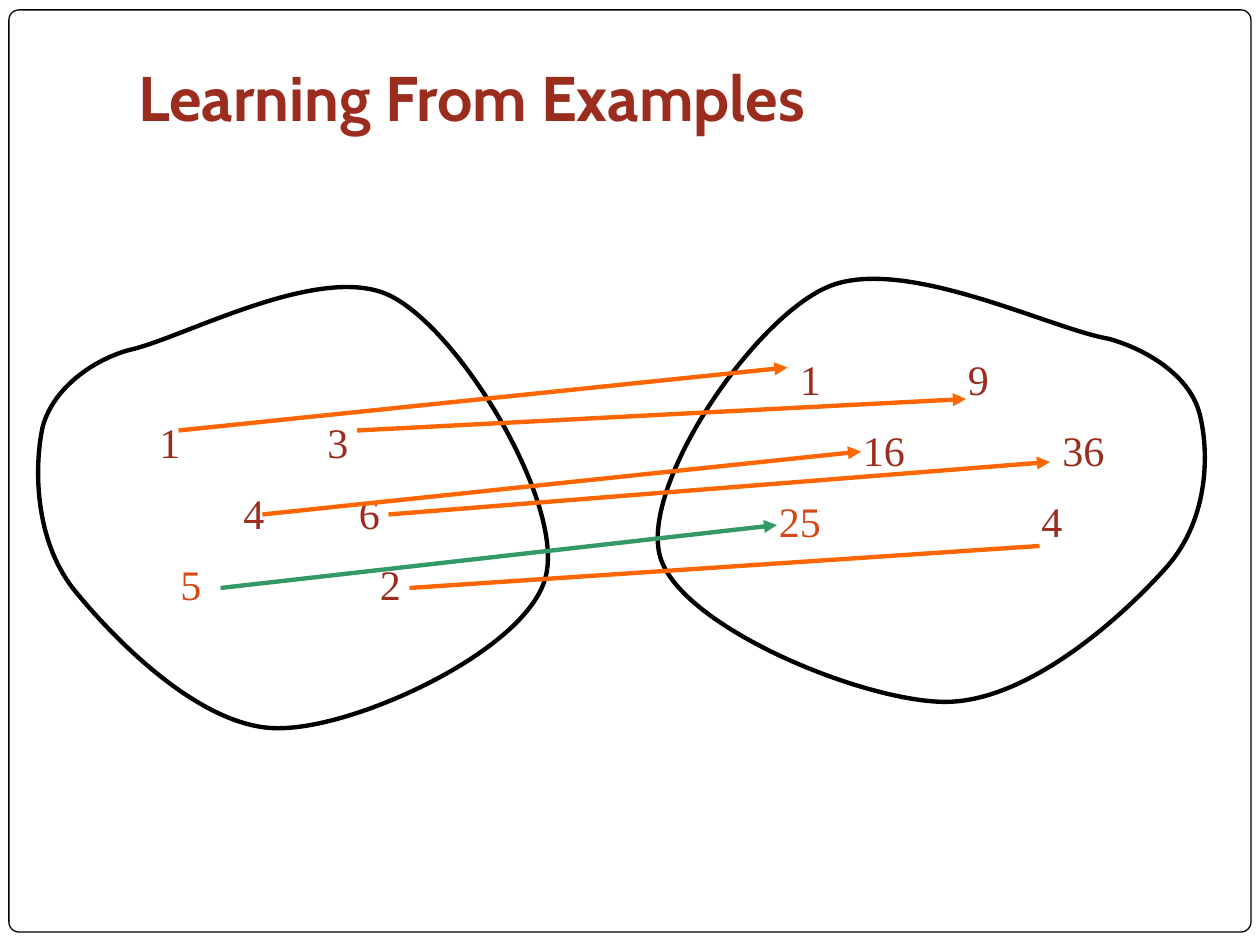
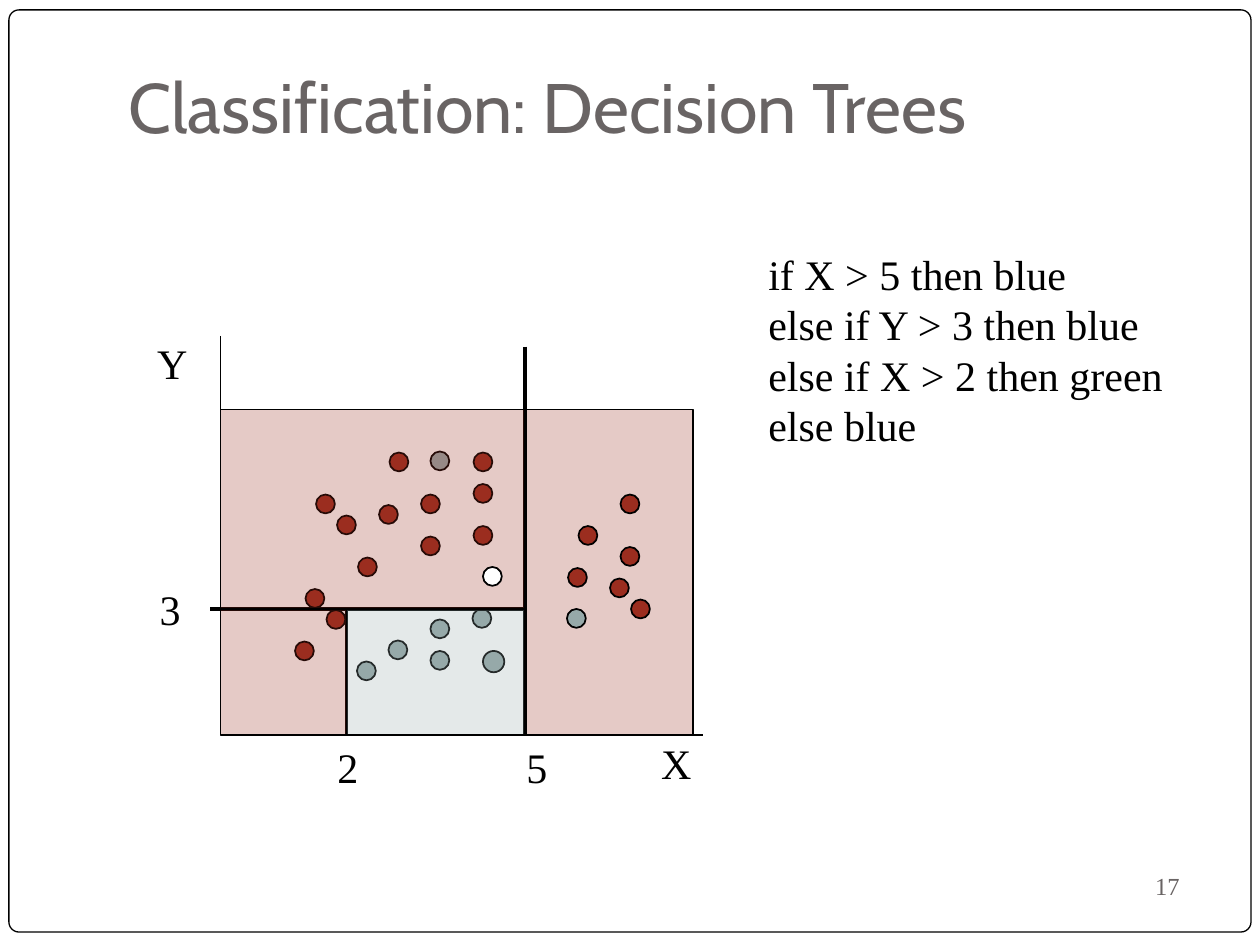
from dataclasses import dataclass
from typing import NamedTuple

from lxml import etree
from pptx import Presentation
from pptx import util as u
from pptx.dml.color import RGBColor
from pptx.enum import shapes, text
from pptx.oxml.ns import qn

COLOURS = {
    "black": "000000", "white": "FFFFFF", "red": "9B2D1F", "orange": "D34817",
    "grey": "696464", "sage": "96A9A9", "arrow": "FF6600", "new arrow": "339966",
}
GRID = 2.54 / 12  # centimetres per step of the drawing grid
DOT = 0.38  # dot diameter in centimetres


class Box(NamedTuple):
    """Left, top, width and height in centimetres."""
    left: float
    top: float
    width: float
    height: float

    def lengths(self) -> list:
        return [u.Cm(value) for value in self]


@dataclass(frozen=True)
class Style:
    size: int
    colour: str = "black"
    font: str = "Times New Roman"
    bold: bool = False


@dataclass(frozen=True)
class Line:
    """A straight line between two grid points."""
    start: tuple[int, int]
    end: tuple[int, int]
    colour: str = "black"
    weight: float = 2
    arrow: bool = False


@dataclass(frozen=True)
class Entry:
    """A number placed a count of grid steps into its row."""
    column: int
    number: str
    colour: str = "red"


BODY = Style(24)
MAPPINGS = [
    Line((39, 56), (99, 52), "arrow", 2.5),
    Line((34, 41), (92, 38), "arrow", 2.5, True),
    Line((17, 41), (75, 35), "arrow", 2.5, True),
    Line((37, 49), (100, 44), "arrow", 2.5, True),
    Line((25, 49), (82, 43), "arrow", 2.5, True),
    Line((21, 56), (74, 50), "new arrow", 2.5, True),
]
INPUTS = [
    [Entry(1, "1"), Entry(17, "3")],
    [Entry(9, "4"), Entry(20, "6")],
    [Entry(3, "5", "orange"), Entry(22, "2")],
]
OUTPUTS = [
    [Entry(2, "1"), Entry(18, "9")],
    [Entry(8, "16"), Entry(27, "36")],
    [Entry(0, "25", "orange"), Entry(25, "4")],
]
# Start point, then two control points and an end point for each curve
INPUT_OUTLINE = [
    (2.59, 7.06),
    (1.88, 7.26), (1.07, 7.82), (0.86, 8.61),
    (0.69, 9.4), (0.69, 10.85), (1.47, 11.86),
    (2.29, 12.88), (4.09, 14.73), (5.66, 14.68),
    (7.26, 14.66), (10.64, 13.08), (11, 11.63),
    (11.38, 10.19), (9.35, 6.76), (7.92, 5.99),
    (6.53, 5.23), (3.68, 6.83), (2.59, 7.06),
]
OUTPUT_OUTLINE = [
    (22.35, 6.83),
    (23.11, 7.04), (23.98, 7.57), (24.18, 8.33),
    (24.38, 9.09), (24.38, 10.46), (23.52, 11.43),
    (22.66, 12.4), (20.73, 14.17), (19.02, 14.15),
    (17.32, 14.12), (13.72, 12.62), (13.31, 11.23),
    (12.9, 9.83), (15.09, 6.55), (16.61, 5.82),
    (18.11, 5.08), (21.16, 6.63), (22.35, 6.83),
]

AXES = [Line((21, 32), (21, 70), weight=1), Line((21, 70), (67, 70), weight=1)]
SPLITS = [Line((50, 33), (50, 70)), Line((50, 58), (20, 58)), Line((33, 58), (33, 70))]
RED_CENTRES = [
    (31, 48), (33, 50), (37, 49), (41, 48), (30, 57), (46, 44), (35, 54),
    (41, 52), (46, 51), (32, 59), (29, 62), (38, 44), (46, 47), (60, 48),
    (56, 51), (55, 55), (59, 56), (61, 58), (60, 53),
]
SAGE_CORNERS = [(34, 63), (37, 61), (41, 62), (41, 59), (45, 58), (41, 43), (54, 58)]
AXIS_LABELS = {
    "X": Box(13.08, 14.73, 1.12, 1.27), "Y": Box(2.92, 6.68, 1.12, 1.27),
    "5": Box(10.36, 14.81, 0.94, 1.27), "2": Box(6.55, 14.81, 0.94, 1.27),
    "3": Box(2.97, 11.63, 0.94, 1.27),
}
RULES = [
    "if X > 5 then blue", "else if Y > 3 then blue",
    "else if X > 2 then green", "else blue",
]


def rgb(name: str) -> RGBColor:
    return RGBColor.from_string(COLOURS[name])


def add_span(para, words: str, style: Style) -> None:
    span = para.add_run()
    span.text = words
    span.font.name = style.font
    span.font.size = u.Pt(style.size)
    span.font.bold = style.bold
    span.font.color.rgb = rgb(style.colour)


def add_frame(page, box: Box, anchor=text.MSO_ANCHOR.TOP, bottom: float = 0.13):
    frame = page.shapes.add_textbox(*box.lengths()).text_frame
    frame.word_wrap = True
    frame.vertical_anchor = anchor
    frame.margin_left = frame.margin_right = u.Cm(0.25)
    frame.margin_top, frame.margin_bottom = u.Cm(0.13), u.Cm(bottom)
    return frame


def next_paragraph(frame, index: int):
    return frame.add_paragraph() if index else frame.paragraphs[0]


def add_lines(page, box: Box, lines: list[str]) -> None:
    frame = add_frame(page, box)
    for index, words in enumerate(lines):
        add_span(next_paragraph(frame, index), words, BODY)


def add_title(page, words: str, box: Box, style: Style, bottom: float = 0.13) -> None:
    frame = add_frame(page, box, text.MSO_ANCHOR.BOTTOM, bottom)
    add_span(frame.paragraphs[0], words, style)


def add_numbers(page, box: Box, rows: list[list[Entry]]) -> None:
    """Place each row's numbers at tab stops on the drawing grid."""
    frame = add_frame(page, box)
    for index, row in enumerate(rows):
        para = next_paragraph(frame, index)
        stops = etree.SubElement(para._p.get_or_add_pPr(), qn("a:tabLst"))
        for entry in row:
            if entry.column:
                position = str(u.Cm(entry.column * GRID))
                etree.SubElement(stops, qn("a:tab"), pos=position, algn="l")
            lead = "\t" if entry.column else ""
            add_span(para, lead + entry.number, Style(24, entry.colour))
        if index:
            para.space_before = u.Pt(12)


def add_outlined(page, kind, box: Box, fill: str, weight: float, alpha: int = 100):
    shape = page.shapes.add_shape(kind, *box.lengths())
    shape.shadow.inherit = False
    shape.fill.solid()
    shape.fill.fore_color.rgb = rgb(fill)
    if alpha < 100:
        colour = shape._element.spPr.find(f"{qn('a:solidFill')}/{qn('a:srgbClr')}")
        etree.SubElement(colour, qn("a:alpha"), val=str(alpha * 1000))
    shape.line.color.rgb = rgb("black")
    shape.line.width = u.Pt(weight)
    return shape


def add_region(page, column: int, row: int, width: int, height: int, fill: str) -> None:
    box = Box(*(value * GRID for value in (column, row, width, height)))
    add_outlined(page, shapes.MSO_SHAPE.RECTANGLE, box, fill, 0.75, 25)


def add_dots(page, points, fill: str, size: float = DOT, shift: float = 0) -> None:
    for column, row in points:
        box = Box(column * GRID - shift, row * GRID - shift, size, size)
        add_outlined(page, shapes.MSO_SHAPE.OVAL, box, fill, 1)


def add_line(page, line: Line) -> None:
    ends = [u.Cm(value * GRID) for value in line.start + line.end]
    connector = page.shapes.add_connector(shapes.MSO_CONNECTOR.STRAIGHT, *ends)
    connector.line.color.rgb = rgb(line.colour)
    connector.line.width = u.Pt(line.weight)
    if line.arrow:
        etree.SubElement(connector.line._get_or_add_ln(), qn("a:tailEnd"), type="triangle")
    etree.SubElement(connector._element.spPr, qn("a:effectLst"))


def add_blob(page, outline: list[tuple[float, float]]) -> None:
    """Draw a closed outline, turning each three segments into one Bezier curve."""
    points = [(u.Cm(x), u.Cm(y)) for x, y in outline]
    builder = page.shapes.build_freeform(*points[0])
    builder.add_line_segments(points[1:], close=True)
    blob = builder.convert_to_shape()
    blob.shadow.inherit = False
    blob.fill.background()
    blob.line.color.rgb = rgb("black")
    blob.line.width = u.Pt(2.5)
    segments = list(blob._element.iter(qn("a:lnTo")))
    for first in range(0, len(segments), 3):
        curve = etree.Element(qn("a:cubicBezTo"))
        segments[first].addprevious(curve)
        for segment in segments[first:first + 3]:
            curve.append(segment[0])
            segment.getparent().remove(segment)


def add_page(deck):
    """Add a blank page with the shared rounded border."""
    page = deck.slides.add_slide(deck.slide_layouts[6])
    border = add_outlined(page, shapes.MSO_SHAPE.ROUNDED_RECTANGLE,
                          Box(0.18, 0.2, 25.04, 18.59), "white", 0.75)
    border.adjustments[0] = 0.011
    return page


def build_examples(deck) -> None:
    page = add_page(deck)
    add_title(page, "Learning From Examples", Box(2.54, 0.97, 21.59, 1.98),
              Style(36, "red", "Cabin", True), 0.25)
    add_blob(page, INPUT_OUTLINE)
    add_numbers(page, Box(2.75, 8.26, 6.78, 7.37), INPUTS)
    add_blob(page, OUTPUT_OUTLINE)
    add_numbers(page, Box(15.45, 6.99, 7.62, 4.32), OUTPUTS)
    for mapping in MAPPINGS:
        add_line(page, mapping)


def build_decision_tree(deck) -> None:
    page = add_page(deck)
    number = add_frame(page, Box(17.15, 17.2, 6.88, 1.32), text.MSO_ANCHOR.MIDDLE)
    number.paragraphs[0].alignment = text.PP_ALIGN.RIGHT
    add_span(number.paragraphs[0], "17", Style(14, "grey"))
    add_region(page, 50, 39, 16, 31, "red")
    add_title(page, "Classification: Decision Trees", Box(2.34, 1.07, 21.59, 2.03),
              Style(40, "grey", "Cabin"))
    for axis in AXES:
        add_line(page, axis)
    add_dots(page, RED_CENTRES, "red", shift=DOT / 2)
    add_dots(page, SAGE_CORNERS, "sage")
    add_dots(page, [(46, 62)], "sage", 0.43)
    for split in SPLITS:
        add_line(page, split)
    add_region(page, 21, 39, 29, 19, "red")
    add_region(page, 21, 58, 12, 12, "red")
    add_region(page, 33, 58, 17, 12, "sage")
    for label, box in AXIS_LABELS.items():
        add_lines(page, box, [label])
    add_lines(page, Box(15.24, 4.88, 8.46, 4.32), RULES)
    add_dots(page, [(46, 54)], "white")


def main() -> None:
    deck = Presentation()
    deck.slide_width, deck.slide_height = u.Cm(25.4), u.Cm(19.05)
    build_examples(deck)
    build_decision_tree(deck)
    deck.save("out.pptx")


if __name__ == "__main__":
    main()
